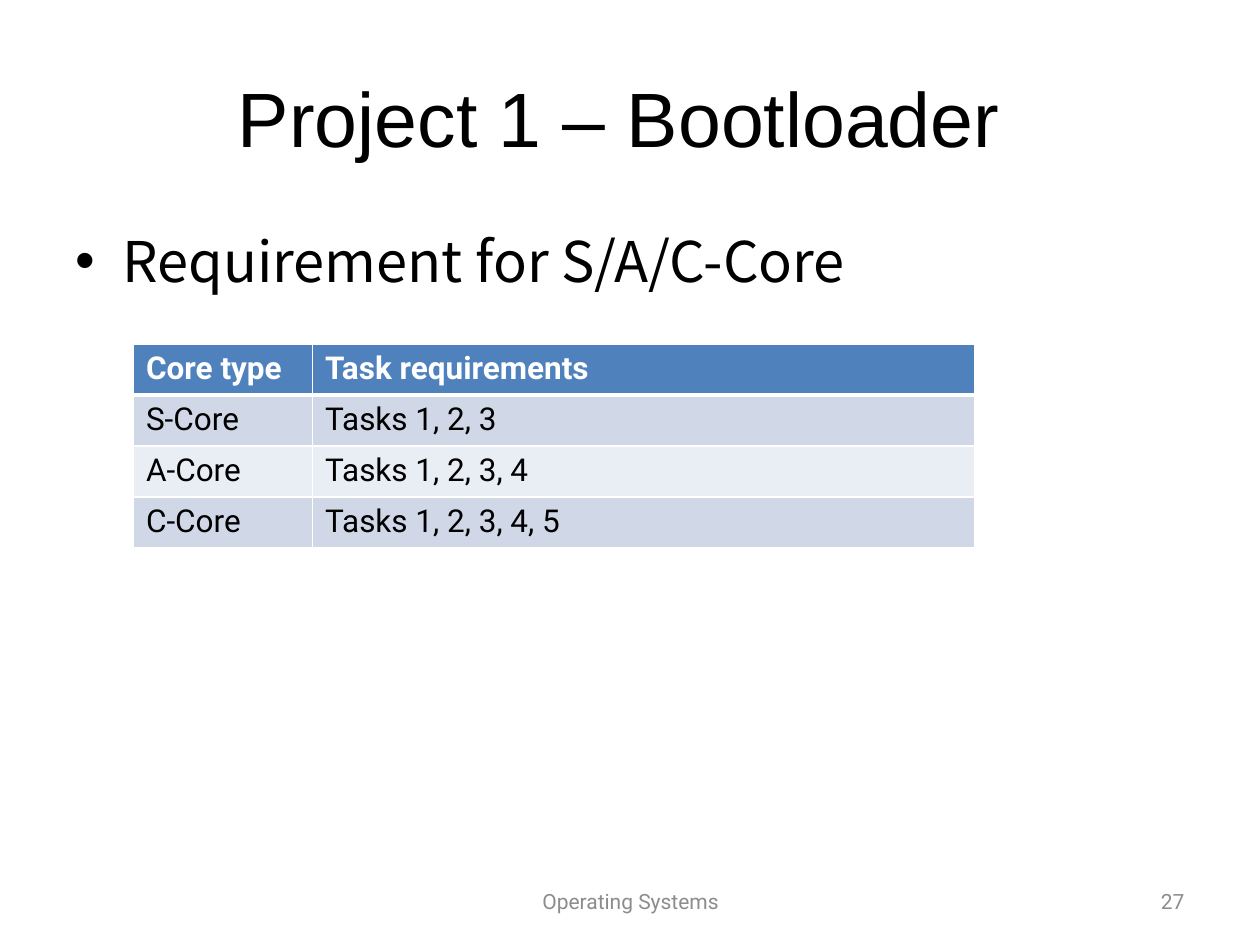
from lxml import etree
from pptx import Presentation
from pptx.dml.color import RGBColor
from pptx.enum import text
from pptx.oxml import ns
from pptx.util import Cm, Pt

BLACK = RGBColor(0x00, 0x00, 0x00)
WHITE = RGBColor(0xFF, 0xFF, 0xFF)
GREY = RGBColor(0x8C, 0x8C, 0x8C)
HEADER_BLUE = RGBColor(0x4F, 0x81, 0xBD)
BAND_DARK = RGBColor(0xD0, 0xD8, 0xE8)
BAND_LIGHT = RGBColor(0xE9, 0xED, 0xF4)

REQUIREMENTS = [
    ("Core type", "Task requirements"),
    ("S-Core", "Tasks 1, 2, 3"),
    ("A-Core", "Tasks 1, 2, 3, 4"),
    ("C-Core", "Tasks 1, 2, 3, 4, 5"),
]


def style_text(para, font_name, size, color, bold=False):
    for span in para.runs:
        span.font.name = font_name
        span.font.size = Pt(size)
        span.font.color.rgb = color
        span.font.bold = bold


def add_text(page, box, words, font_name, size, color, align, anchor):
    frame = page.shapes.add_textbox(*map(Cm, box)).text_frame
    frame.word_wrap = True
    frame.vertical_anchor = anchor
    frame.text = words
    para = frame.paragraphs[0]
    para.alignment = align
    style_text(para, font_name, size, color)
    return para


def add_title(page, box):
    add_text(page, box, "Project 1 – Bootloader ", "Arial", 44, BLACK,
             text.PP_ALIGN.CENTER, text.MSO_ANCHOR.MIDDLE)


def add_body(page, box):
    para = add_text(page, box, "Requirement for S/A/C-Core", "Noto Sans CJK SC", 32,
                    BLACK, text.PP_ALIGN.LEFT, text.MSO_ANCHOR.TOP)
    para.space_before = Pt(6.4)
    properties = para._p.get_or_add_pPr()
    properties.set("marL", str(Cm(0.95)))
    properties.set("indent", str(-Cm(0.95)))
    etree.SubElement(properties, ns.qn("a:buFont")).set("typeface", "Arial")
    etree.SubElement(properties, ns.qn("a:buChar")).set("char", "•")


def add_footer(page, box):
    left, top, width, height = box
    middle = text.MSO_ANCHOR.MIDDLE
    add_text(page, (left, top, 8.05, height), "Operating Systems", "Roboto", 12,
             GREY, text.PP_ALIGN.CENTER, middle)
    add_text(page, (left + width - 5.92, top, 5.92, height), "27", "Roboto", 12,
             GREY, text.PP_ALIGN.RIGHT, middle)


def set_borders(cell, widths):
    properties = cell._tc.get_or_add_tcPr()
    for side, width in widths.items():
        line = etree.SubElement(properties, ns.qn(f"a:ln{side}"), w=str(Pt(width)))
        fill = etree.SubElement(line, ns.qn("a:solidFill"))
        etree.SubElement(fill, ns.qn("a:srgbClr"), val=str(WHITE))


def add_requirements(page, box):
    left, top, width, height = map(Cm, box)
    table = page.shapes.add_table(len(REQUIREMENTS), 2, left, top, width, height).table
    table.columns[0].width = Cm(3.61)
    table.columns[1].width = width - Cm(3.61)
    for row, values in enumerate(REQUIREMENTS):
        header = row == 0
        band = HEADER_BLUE if header else BAND_DARK if row % 2 else BAND_LIGHT
        for column, words in enumerate(values):
            cell = table.cell(row, column)
            cell.text = words
            style_text(cell.text_frame.paragraphs[0], "Roboto", 18,
                       WHITE if header else BLACK, header)
            set_borders(cell, {"L": 1, "R": 1, "T": 3 if row == 1 else 1,
                               "B": 3 if header else 1})
            cell.fill.solid()
            cell.fill.fore_color.rgb = band


def main():
    deck = Presentation()
    deck.slide_width, deck.slide_height = Cm(25.4), Cm(19.05)
    page = deck.slides.add_slide(deck.slide_layouts[6])
    add_title(page, (1.27, 0.76, 22.86, 3.18))
    add_body(page, (1.27, 4.45, 22.86, 12.57))
    add_footer(page, (8.69, 17.65, 15.44, 1.02))
    add_requirements(page, (2.69, 6.93, 16.95, 4.12))
    deck.save("out.pptx")


if __name__ == "__main__":
    main()
